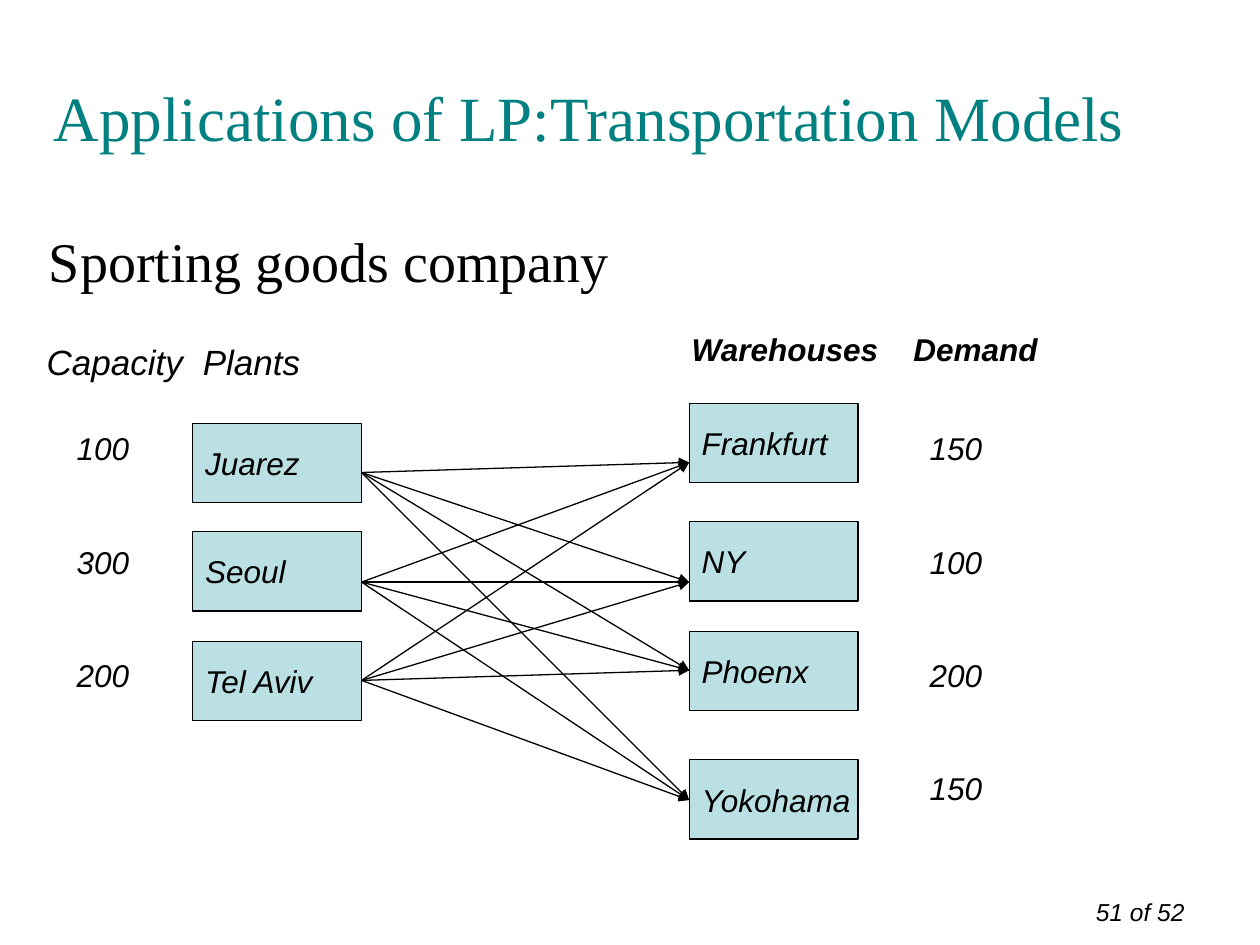
from itertools import product

from lxml.etree import SubElement
from pptx import Presentation
from pptx.dml.color import RGBColor
from pptx.enum.shapes import MSO_CONNECTOR as Connector, MSO_SHAPE as Shape
from pptx.enum.text import MSO_ANCHOR as Anchor, PP_ALIGN as Align
from pptx.oxml.ns import qn
from pptx.util import Inches, Pt

BLACK = RGBColor(0x00, 0x00, 0x00)
TEAL = RGBColor(0x00, 0x80, 0x80)
PALE_BLUE = RGBColor(0xBB, 0xE0, 0xE3)

TITLE = "Applications of LP:Transportation Models"
SUBTITLE = "Sporting goods company"
PAGE_NUMBER = "51 of 52"

HEADINGS = [
    ("Capacity", 0.37, 2.65, 1.2, 20, False),
    ("Plants", 1.61, 2.65, 1.2, 20, False),
    ("Warehouses", 5.49, 2.57, 1.7, 18, True),
    ("Demand", 7.25, 2.57, 1.2, 18, True),
]
PLANTS = [("Juarez", 3.36, 3.75), ("Seoul", 4.22, 4.62), ("Tel Aviv", 5.09, 5.4)]
WAREHOUSES = [
    ("Frankfurt", 3.2, 3.67),
    ("NY", 4.14, 4.62),
    ("Phoenx", 5.01, 5.32),
    ("Yokohama", 6.03, 6.35),
]
CAPACITY = ["100", "300", "200"]
DEMAND = ["150", "100", "200", "150"]

PLANT_LEFT, WAREHOUSE_LEFT = 1.53, 5.47
NODE_WIDTH, NODE_HEIGHT = 1.34, 0.63
NUMBERS_TOP = 3.36
NUMBER_GAP = 43


def write(shape, lines, size, font="Arial", color=BLACK, bold=False, italic=True,
          align=Align.LEFT, anchor=Anchor.TOP, wrap=False, before=0, after=0, inset=0.1):
    frame = shape.text_frame
    frame.word_wrap = wrap
    frame.vertical_anchor = anchor
    frame.margin_left = frame.margin_right = Inches(inset)
    frame.text = "\n".join(lines)
    for para in frame.paragraphs:
        para.alignment = align
        para.space_before, para.space_after = Pt(before), Pt(after)
        para.font.name, para.font.size = font, Pt(size)
        para.font.bold, para.font.italic = bold, italic
        para.font.color.rgb = color


def add_text(page, left, top, width, height, lines, size, **style):
    box = page.shapes.add_textbox(Inches(left), Inches(top), Inches(width), Inches(height))
    write(box, lines, size, **style)


def add_node(page, name, left, top):
    node = page.shapes.add_shape(
        Shape.RECTANGLE, Inches(left), Inches(top), Inches(NODE_WIDTH), Inches(NODE_HEIGHT))
    node.shadow.inherit = False
    node.fill.solid()
    node.fill.fore_color.rgb = PALE_BLUE
    node.line.color.rgb = BLACK
    node.line.width = Pt(0.75)
    write(node, [name], 18, anchor=Anchor.MIDDLE)


def add_route(page, start, end):
    route = page.shapes.add_connector(
        Connector.STRAIGHT, Inches(PLANT_LEFT + NODE_WIDTH), Inches(start),
        Inches(WAREHOUSE_LEFT), Inches(end))
    route.line.color.rgb = BLACK
    route.line.width = Pt(0.75)
    SubElement(route.line._get_or_add_ln(), qn("a:tailEnd"), type="triangle")
    SubElement(route._element.spPr, qn("a:effectLst"))


deck = Presentation()
deck.slide_width, deck.slide_height = Inches(10), Inches(7.5)
page = deck.slides.add_slide(deck.slide_layouts[6])

add_text(page, 0.33, 0.3, 9.17, 1.25, [TITLE], 36, font="Times New Roman", color=TEAL,
         italic=False, anchor=Anchor.MIDDLE, wrap=True)
add_text(page, 0.29, 1.75, 8.08, 0.74, [SUBTITLE], 32, font="Times New Roman",
         italic=False, wrap=True, before=4)

for heading, left, top, width, size, bold in HEADINGS:
    add_text(page, left, top, width, 0.43, [heading], size, bold=bold, wrap=True, inset=0)

for left, nodes in [(PLANT_LEFT, PLANTS), (WAREHOUSE_LEFT, WAREHOUSES)]:
    for name, top, port in nodes:
        add_node(page, name, left, top)

for left, numbers in [(0.51, CAPACITY), (7.28, DEMAND)]:
    add_text(page, left, NUMBERS_TOP, 0.62, 3.1, numbers, 18, after=NUMBER_GAP)

for plant, warehouse in product(PLANTS, WAREHOUSES):
    add_route(page, plant[2], warehouse[2])

add_text(page, 8.31, 7.07, 1.19, 0.26, [PAGE_NUMBER], 14, align=Align.RIGHT, wrap=True)

deck.save("out.pptx")
